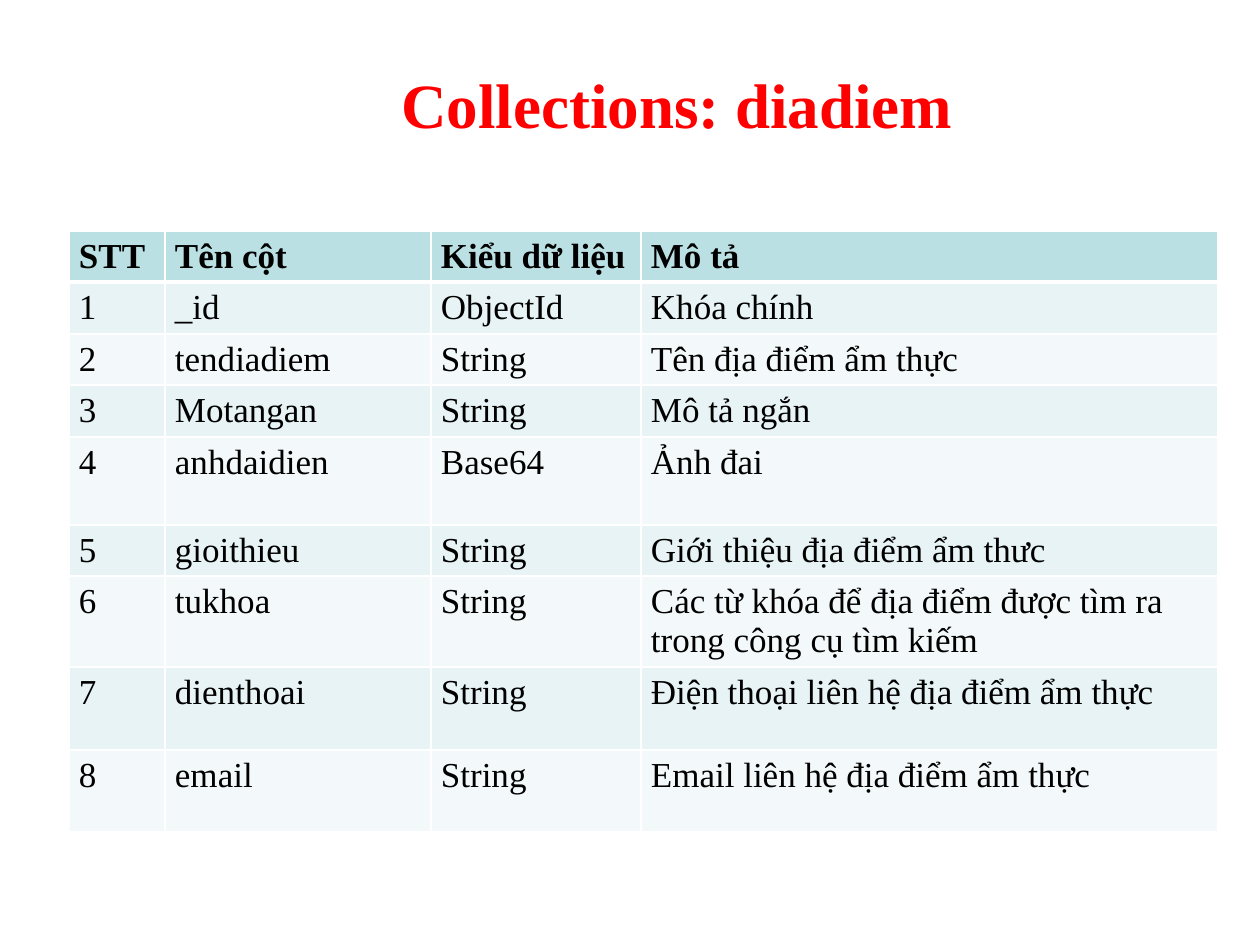
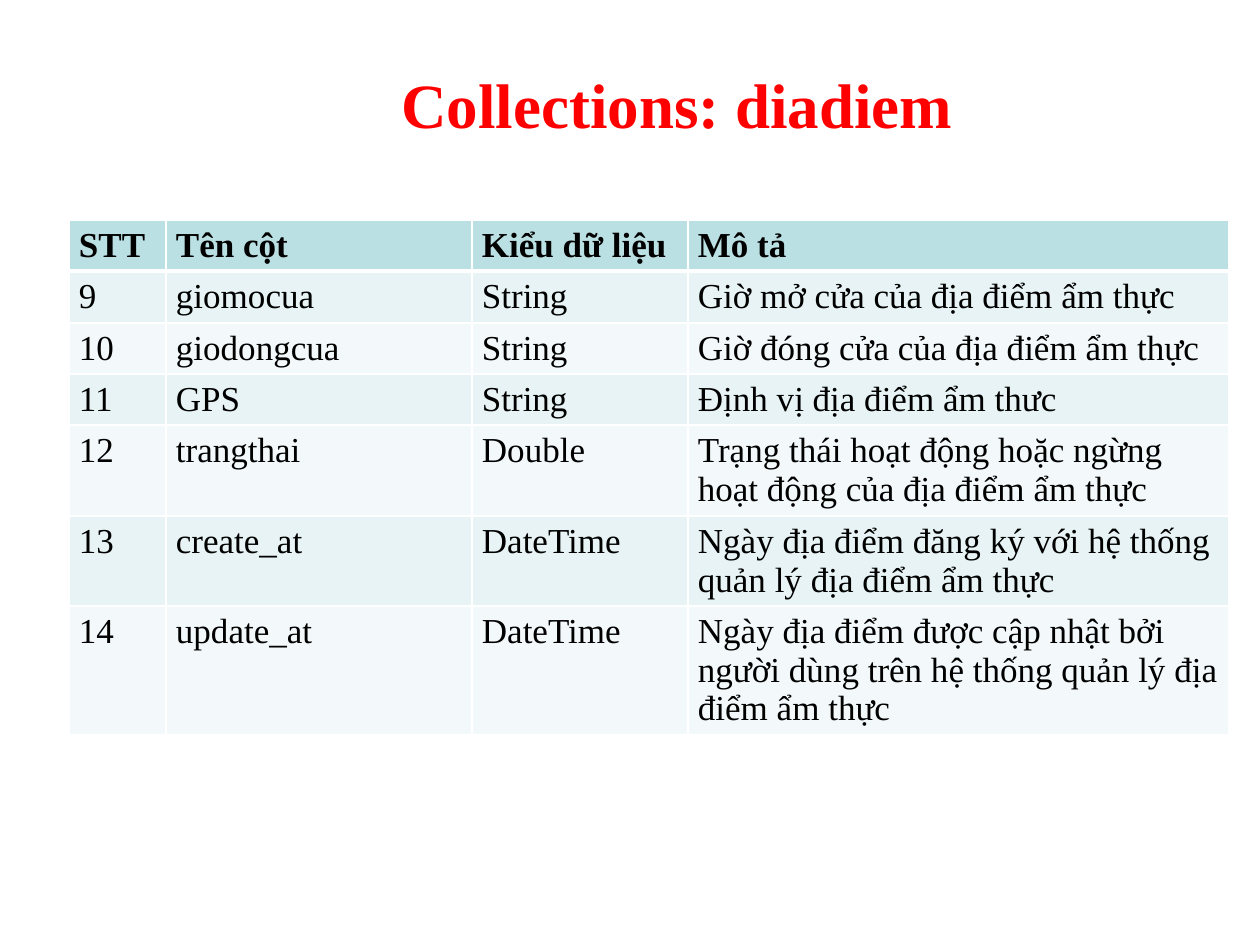
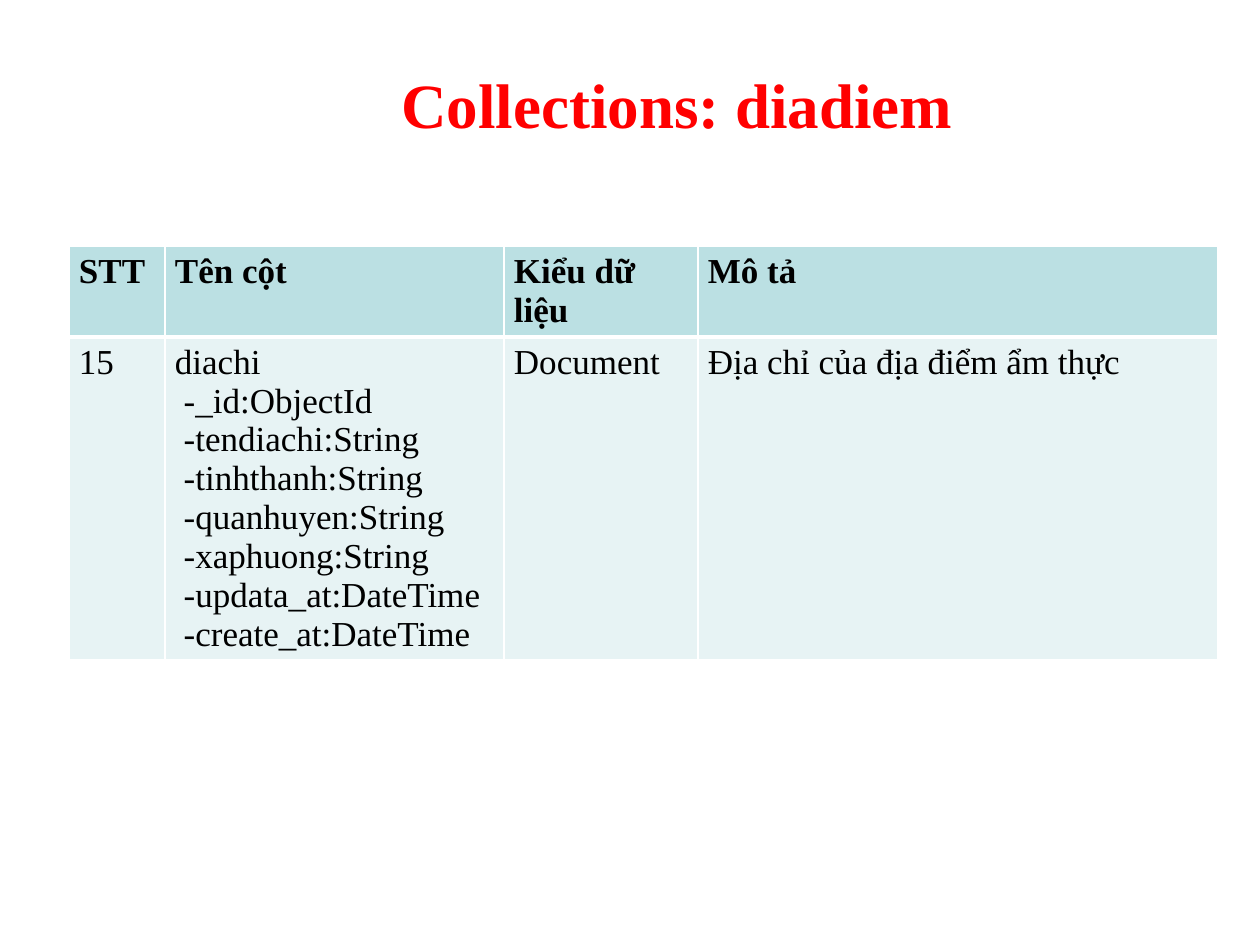
from lxml import etree
from pptx import Presentation
from pptx.dml.color import RGBColor
from pptx.enum.text import MSO_ANCHOR, PP_ALIGN
from pptx.oxml.ns import qn
from pptx.util import Emu, Pt

MIDDLE, CENTER = MSO_ANCHOR.MIDDLE, PP_ALIGN.CENTER

# Content: one entry per slide, a cell is a list of paragraphs or a single one
TITLE = "Collections: diadiem"
HEADER = ("STT", "Tên cột", "Kiểu dữ liệu", "Mô tả")
SLIDES = [
    {
        "top": 231,
        "cols": (96, 266, 210, 577),
        "heights": (51, 52, 51, 52, 88, 51, 91, 83, 82),
        "rows": [
            ("1", "_id", "ObjectId", "Khóa chính"),
            ("2", "tendiadiem", "String", "Tên địa điểm ẩm thực"),
            ("3", "Motangan", "String", "Mô tả ngắn"),
            ("4", "anhdaidien", "Base64", "Ảnh đai"),
            ("5", "gioithieu", "String", "Giới thiệu địa điểm ẩm thưc"),
            ("6", "tukhoa", "String",
             "Các từ khóa để địa điểm được tìm ra trong công cụ tìm kiếm"),
            ("7", "dienthoai", "String", "Điện thoại liên hệ địa điểm ẩm thực"),
            ("8", "email", "String", "Email liên hệ địa điểm ẩm thực"),
        ],
    },
    {
        "top": 220,
        "cols": (97, 306, 216, 541),
        "heights": (51, 52, 51, 51, 91, 90, 129),
        "rows": [
            ("9", "giomocua", "String", "Giờ mở cửa của địa điểm ẩm thực"),
            ("10", "giodongcua", "String", "Giờ đóng cửa của địa điểm ẩm thực"),
            ("11", "GPS", "String", "Định vị địa điểm ẩm thưc"),
            ("12", "trangthai", "Double",
             "Trạng thái hoạt động hoặc ngừng hoạt động của địa điểm ẩm thực"),
            ("13", "create_at", "DateTime",
             "Ngày địa điểm đăng ký với hệ thống quản lý địa điểm ẩm thực"),
            ("14", "update_at", "DateTime",
             "Ngày địa điểm được cập nhật bởi người dùng trên hệ thống "
             "quản lý địa điểm ẩm thực"),
        ],
    },
    {
        "top": 246,
        "cols": (96, 339, 194, 520),
        "heights": (91, 323),
        "rows": [
            ("15",
             ["diachi\n -_id:ObjectId\n -tendiachi:String\n -tinhthanh:String\n"
              " -quanhuyen:String\n -xaphuong:String",
              " -updata_at:DateTime\n -create_at:DateTime"],
             "Document", "Địa chỉ của địa điểm ẩm thực"),
        ],
    },
]

# Shared style
FONT = "Times New Roman"
RED, BLACK, WHITE = "FF0000", "000000", "FFFFFF"
HEADER_FILL, BANDS = "BBE0E3", ("F3F9FA", "E7F3F4")
TITLE_BOX = (157, 38, 1040, 130)
TABLE_LEFT = 69
CELL_LEFT, CELL_RIGHT, CELL_Y = 10, 9, 6
CELL_LINE = Pt(22.2)
THIN, THICK = 1, 3


def px(n):
    return Emu(round(n * 914400 / 126))


def rgb(value):
    return RGBColor.from_string(value)


def add_text(p, text, size, color, bold):
    for i, line in enumerate(text.split("\n")):
        if i:
            p.add_line_break()
        r = p.add_run()
        r.text = line
        r.font.name, r.font.size, r.font.bold = FONT, Pt(size), bold
        r.font.color.rgb = rgb(color)


def add_title(s):
    tf = s.shapes.add_textbox(*map(px, TITLE_BOX)).text_frame
    tf.word_wrap = True
    tf.vertical_anchor = MIDDLE
    p = tf.paragraphs[0]
    p.alignment = CENTER
    add_text(p, TITLE, 36, RED, True)


def set_borders(cell, row):
    tcPr = cell._tc.get_or_add_tcPr()
    widths = {"lnL": THIN, "lnR": THIN,
              "lnT": THICK if row == 1 else THIN,
              "lnB": THICK if row == 0 else THIN}
    for tag, width in widths.items():
        ln = etree.SubElement(tcPr, qn(f"a:{tag}"), w=str(Pt(width)))
        fill = etree.SubElement(ln, qn("a:solidFill"))
        etree.SubElement(fill, qn("a:srgbClr"), val=WHITE)


def fill_cell(cell, row, content):
    cell.margin_left, cell.margin_right = px(CELL_LEFT), px(CELL_RIGHT)
    cell.margin_top = cell.margin_bottom = px(CELL_Y)
    set_borders(cell, row)
    cell.fill.solid()
    cell.fill.fore_color.rgb = rgb(BANDS[row % 2] if row else HEADER_FILL)
    tf = cell.text_frame
    paragraphs = [content] if isinstance(content, str) else content
    for i, text in enumerate(paragraphs):
        p = tf.add_paragraph() if i else tf.paragraphs[0]
        p.line_spacing = CELL_LINE
        add_text(p, text, 20, BLACK, row == 0)


def add_table(s, top, cols, heights, rows):
    box = (TABLE_LEFT, top, sum(cols), sum(heights))
    table = s.shapes.add_table(len(heights), len(cols), *map(px, box)).table
    for column, width in zip(table.columns, cols):
        column.width = px(width)
    for row, height in zip(table.rows, heights):
        row.height = px(height)
    for i, values in enumerate([HEADER, *rows]):
        for j, content in enumerate(values):
            fill_cell(table.cell(i, j), i, content)


def main():
    prs = Presentation()
    prs.slide_width, prs.slide_height = px(1260), px(945)
    for data in SLIDES:
        s = prs.slides.add_slide(prs.slide_layouts[6])
        add_title(s)
        add_table(s, **data)
    prs.save("out.pptx")


if __name__ == "__main__":
    main()
